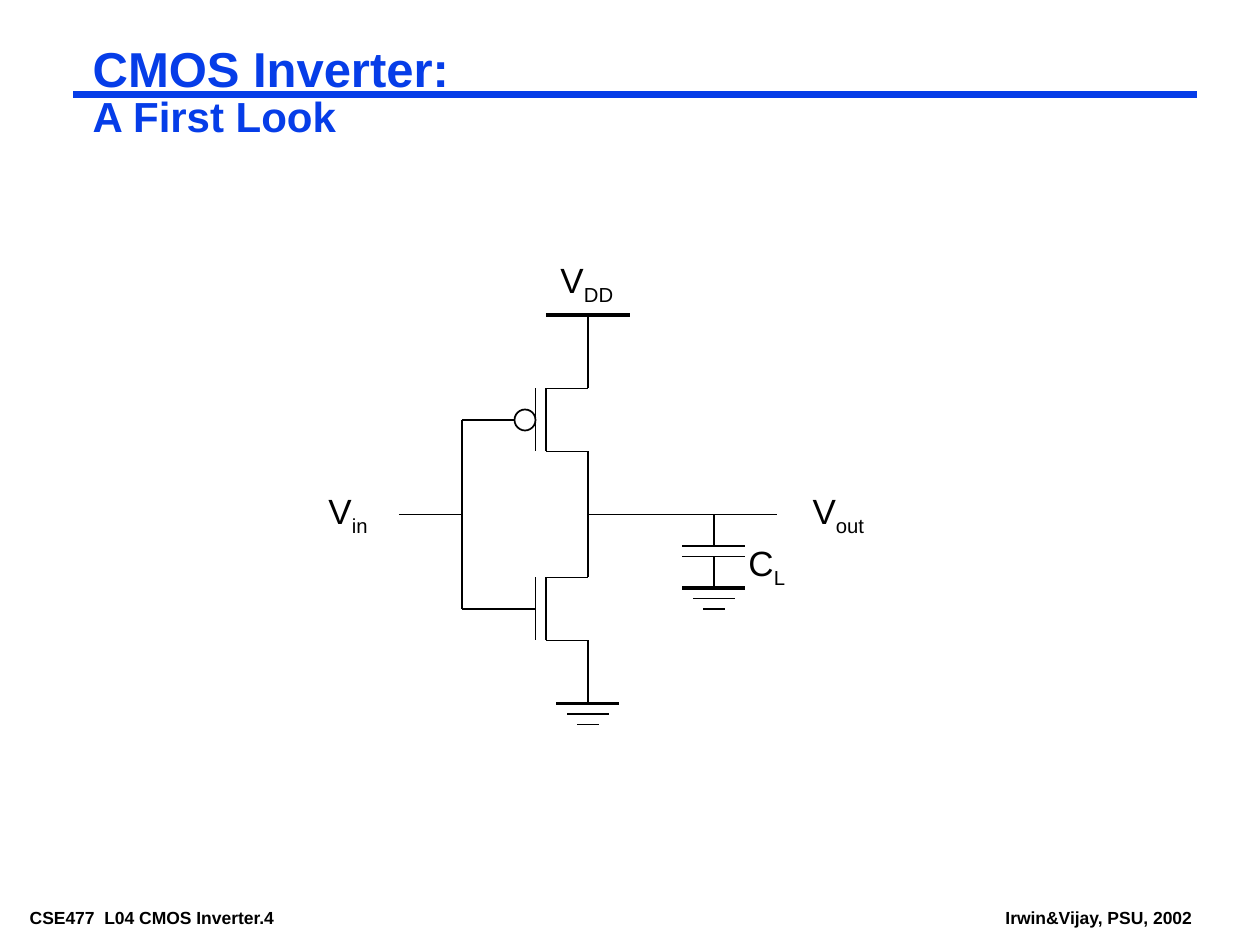
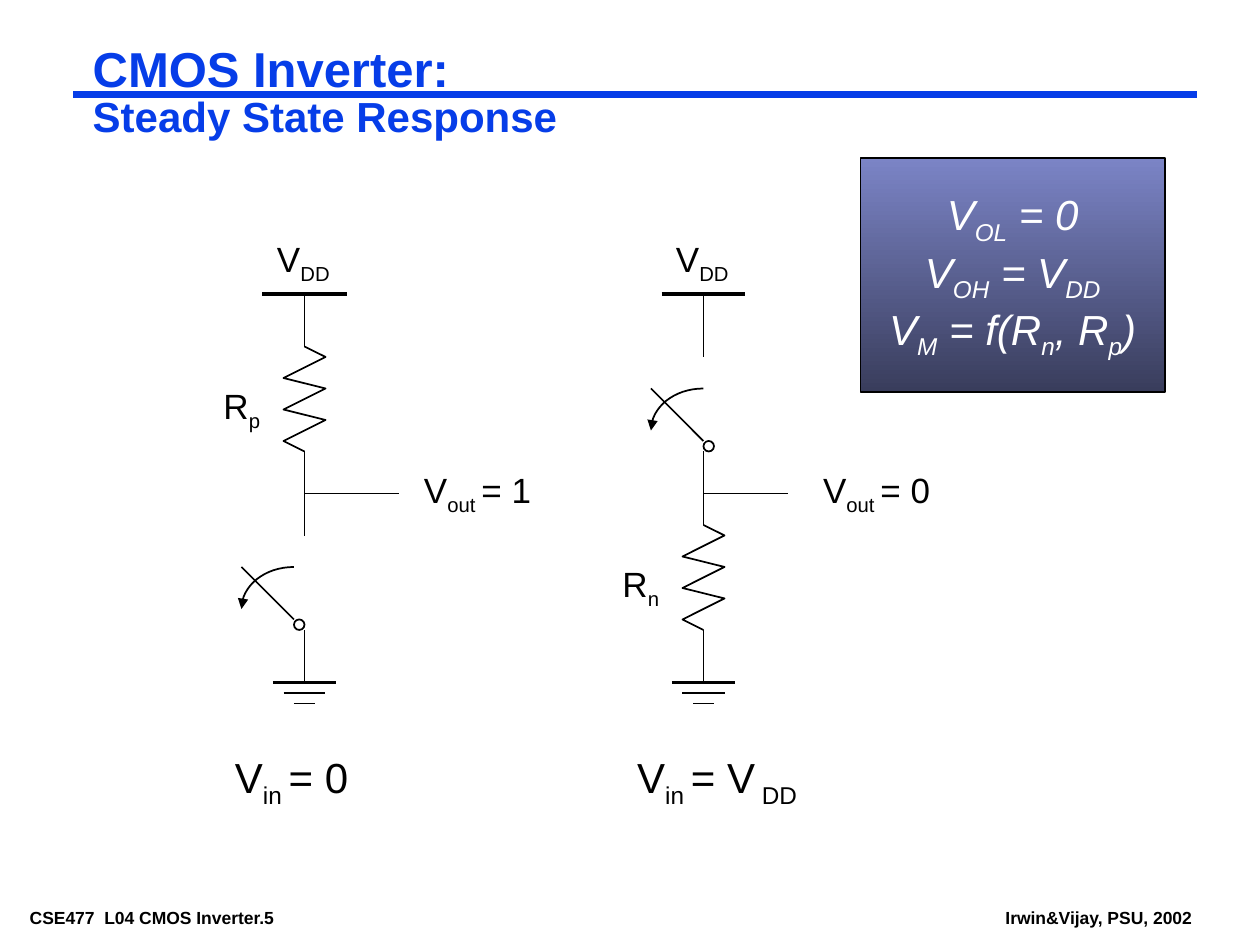
from lxml.etree import SubElement
from pptx import Presentation
from pptx.dml.color import RGBColor
from pptx.enum.shapes import MSO_CONNECTOR, MSO_SHAPE
from pptx.enum.text import MSO_ANCHOR, PP_ALIGN
from pptx.oxml.ns import qn
from pptx.util import Cm, Pt

COLORS = {
    "title": "063DE8",
    "ink": "000000",
    "box_text": "FFFFFF",
    "box_top": "7B84C6",
    "box_bottom": "393D5C",
}
FONT = "Arial"
GRID = 2.54 / 12  # the circuits sit on a grid of twelve steps to the inch
THIN, THICK = 1, 2.25


def rgb(name):
    return RGBColor.from_string(COLORS[name])


def grid(*steps):
    return [Cm(GRID * n) for n in steps]


def apply(target, values):
    for name, value in values.items():
        setattr(target, name, value)


# ---- text ----
def add_run(p, text, size, color="ink", sub=False, **style):
    r = p.add_run()
    r.text = text
    apply(r.font, {"name": FONT, "size": Pt(size), **style})
    r.font.color.rgb = rgb(color)
    if sub:
        r._r.get_or_add_rPr().set("baseline", "-25000")


def add_formula(p, text, size, **style):
    """Every second part between bars is a subscript."""
    for i, part in enumerate(text.split("|")):
        add_run(p, part, size, sub=i % 2 == 1, **style)


def add_text_box(s, left, top, width, height, margins=(0.25, 0.13), wrap=False):
    tf = s.shapes.add_textbox(left, top, width, height).text_frame
    side, edge = map(Cm, margins)
    apply(tf, {"word_wrap": wrap, "margin_left": side, "margin_right": side,
               "margin_top": edge, "margin_bottom": edge})
    return tf.paragraphs[0]


def add_label(s, text, left, top, width, size=20):
    p = add_text_box(s, *grid(left, top, width, size * 0.28))
    add_formula(p, text, size)


# ---- lines and outlines ----
def add_line(s, x1, y1, x2, y2, weight=THIN, color="ink"):
    sp = s.shapes.add_connector(MSO_CONNECTOR.STRAIGHT, *grid(x1, y1, x2, y2))
    sp.line.width = Pt(weight)
    sp.line.color.rgb = rgb(color)
    SubElement(sp._element.spPr, qn("a:effectLst"))


def outline(sp):
    sp.shadow.inherit = False
    sp.line.width = Pt(THIN)
    sp.line.color.rgb = rgb("ink")


def add_path(s, points):
    points = [grid(*point) for point in points]
    builder = s.shapes.build_freeform(*points[0])
    builder.add_line_segments(points[1:], close=False)
    sp = builder.convert_to_shape()
    sp.fill.background()
    outline(sp)
    return sp


def add_circle(s, x, y, size):
    sp = s.shapes.add_shape(MSO_SHAPE.OVAL, *grid(x, y, size, size))
    sp.fill.background()
    outline(sp)


# ---- circuit parts ----
def add_bar(s, x, y, half, weight=THIN):
    add_line(s, x - half, y, x + half, y, weight)


def add_supply(s, x, y):
    add_bar(s, x, y, 4, THICK)
    add_label(s, "V|DD", x - 3.8, y - 6, 7.4)


def add_ground(s, x, y):
    for i, weight in enumerate((THICK, THIN, THIN)):
        add_bar(s, x, y + i, 3 - i, weight)


def add_transistor(s, x, y):
    for end in (y, y + 6):
        add_line(s, x - 4, end, x, end)
    for plate in (x - 4, x - 5):
        add_line(s, plate, y, plate, y + 6)


def add_capacitor(s, x, y):
    add_line(s, x, y, x, y + 3)
    for plate in (y + 3, y + 4):
        add_bar(s, x, plate, 3)
    add_line(s, x, y + 4, x, y + 7)
    add_ground(s, x, y + 7)
    add_label(s, "C|L", x + 2.1, y + 2, 5.9)


def add_resistor(s, x, y, name):
    zigzag = [(x + side, y + 3 * i + drop)
              for i in range(3) for side, drop in ((2, 1), (-2, 3))]
    add_path(s, [(x, y), *zigzag, (x, y + 10)])
    add_label(s, name, x - 8.9, y + 3, 5.9)


def add_switch(s, x, y):
    add_circle(s, x, y + 5, 1)
    add_line(s, x - 5, y, x, y + 5)
    # Opening arc: a cubic curve from above the hinge to the blade tip
    arc = []
    for i in range(17):
        t = i / 16
        u = 1 - t
        arc.append((x - 5 + 5 * u**3 + 6.6 * u**2 * t,
                    y + 5.4 * u * t**2 + 4 * t**3))
    sp = add_path(s, arc)
    SubElement(sp.line._get_or_add_ln(), qn("a:tailEnd"), type="triangle")


def add_result_box(s, formulas):
    sp = s.shapes.add_shape(MSO_SHAPE.RECTANGLE, Cm(17.35), Cm(3.18), Cm(6.13), Cm(4.72))
    outline(sp)
    sp.fill.gradient()
    sp.fill.gradient_angle = 270
    for stop, name, position in zip(sp.fill.gradient_stops, ("box_top", "box_bottom"), (0, 1)):
        stop.color.rgb = rgb(name)
        stop.position = position
    tf = sp.text_frame
    apply(tf, {"word_wrap": False, "vertical_anchor": MSO_ANCHOR.MIDDLE})
    for i, formula in enumerate(formulas):
        p = tf.add_paragraph() if i else tf.paragraphs[0]
        p.alignment = PP_ALIGN.CENTER
        add_formula(p, formula, 24, color="box_text", italic=True)


# ---- slides ----
def add_slide(prs, subtitle, number):
    s = prs.slides.add_slide(prs.slide_layouts[6])
    small = (0.18, 0.08)
    # Footers
    for text, left, width in ((f"CSE477  L04 CMOS Inverter.{number}", 0.42, 6.81),
                              ("Irwin&Vijay, PSU, 2002", 20.09, 4.14)):
        p = add_text_box(s, Cm(left), Cm(18.2), Cm(width), Cm(0.56), small)
        add_run(p, text, 10, bold=True)
    # Rule and title
    add_line(s, 7, 9, 114, 9, 4.5, "title")
    p = add_text_box(s, Cm(1.69), Cm(0.85), Cm(21.6), Cm(2.06), small, wrap=True)
    p.line_spacing = 0.87
    add_run(p, "CMOS Inverter:", 28, "title", bold=True)
    p.add_line_break()
    add_run(p, subtitle, 24, "title", bold=True)
    return s


def build_first_look(prs):
    s = add_slide(prs, "A First Look", 4)
    x, mid = 56, 49
    # Supply, both transistors and ground
    add_supply(s, x, 30)
    for top, bottom in ((30, 37), (43, 55), (61, 67)):
        add_line(s, x, top, x, bottom)
    for top in (37, 55):
        add_transistor(s, x, top)
    add_ground(s, x, 67)
    # Input and gates
    add_label(s, "V|in", 30.1, 46, 6.1)
    add_line(s, 38, mid, 44, mid)
    add_line(s, 44, 40, 44, 58)
    add_line(s, 44, 40, 49, 40)
    add_circle(s, 49, 39, 2)
    add_line(s, 44, 58, 51, 58)
    # Output and load
    add_line(s, x, mid, 74, mid)
    add_capacitor(s, 68, mid)
    add_label(s, "V|out", 76.2, 46, 7.3)


def add_steady_state(s, x, wires, output_end, output, vin, vin_left, vin_width):
    add_supply(s, x, 28)
    for top, bottom in wires:
        add_line(s, x, top, x, bottom)
    add_ground(s, x, 65)
    add_line(s, x, 47, output_end, 47)
    add_label(s, output, x + 10.2, 44, 12.6)
    add_label(s, vin, vin_left, 71, vin_width, size=24)


def build_steady_state(prs):
    s = add_slide(prs, "Steady State Response", 5)
    # Low input: pull-up conducts
    add_steady_state(s, 29, ((28, 33), (43, 51), (60, 65)), 38,
                     "V|out |= 1", "V|in |= 0", 21.2, 13.2)
    add_resistor(s, 29, 33, "R|p")
    add_switch(s, 28, 54)
    # High input: pull-down conducts
    add_steady_state(s, 67, ((28, 34), (43, 50), (60, 65)), 75,
                     "V|out |= 0", "V|in |= V| DD", 59.5, 17.6)
    add_switch(s, 67, 37)
    add_resistor(s, 67, 50, "R|n")
    add_result_box(s, ("V|OL| = 0", "V|OH| = V|DD", "V|M| = f(R|n|, R|p|)"))


def main():
    prs = Presentation()
    apply(prs, {"slide_width": Cm(25.4), "slide_height": Cm(19.05)})
    build_first_look(prs)
    build_steady_state(prs)
    prs.save("out.pptx")


if __name__ == "__main__":
    main()
